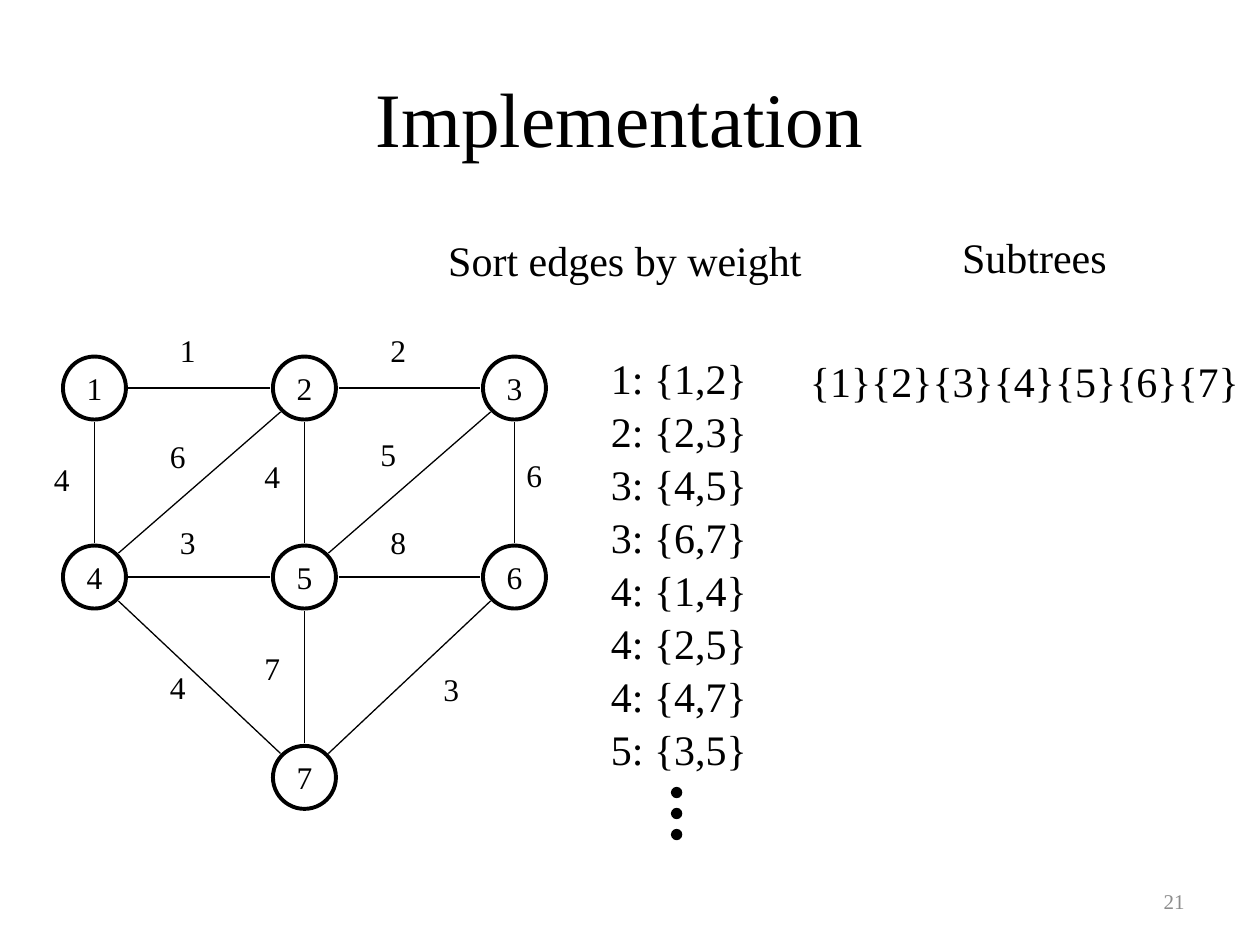
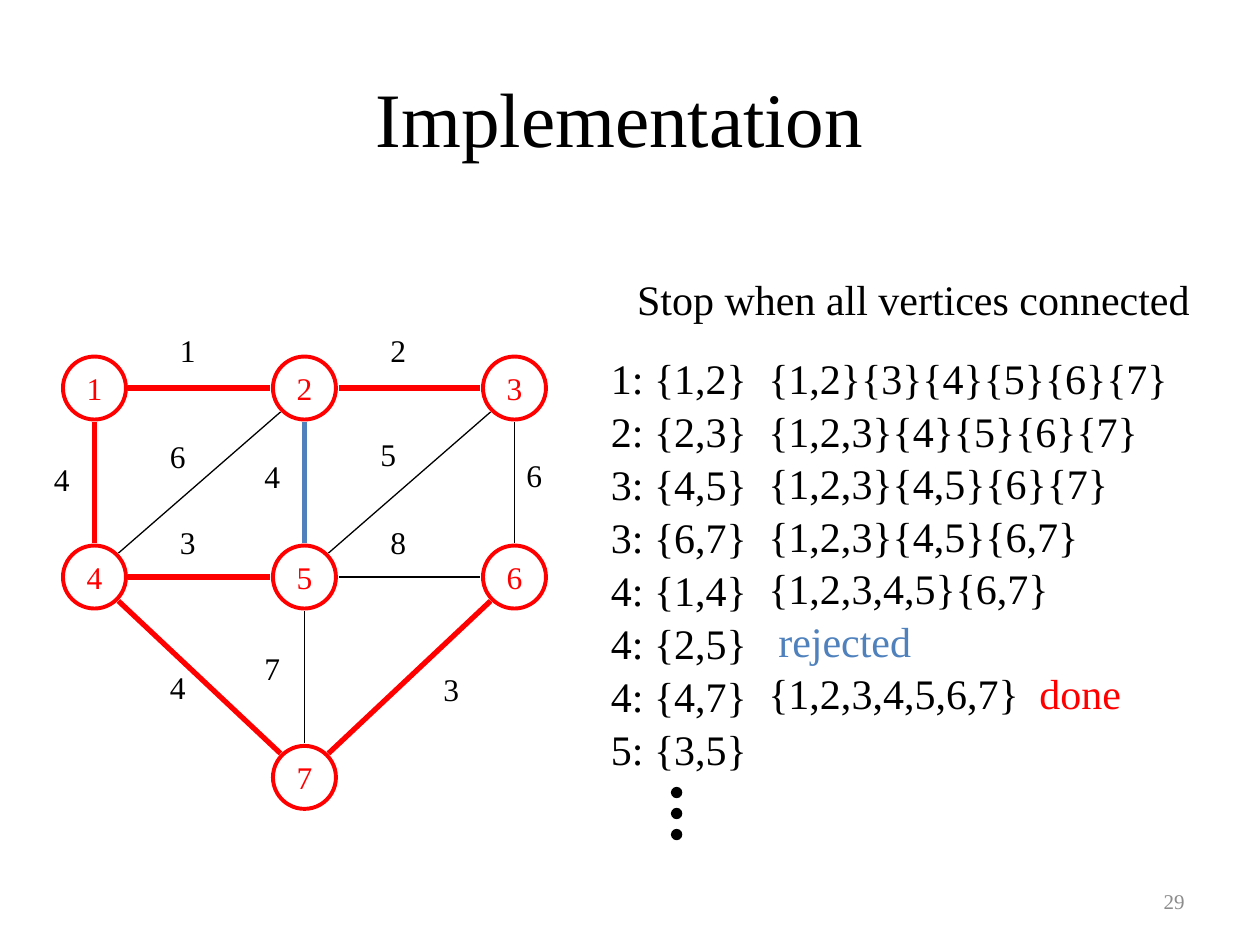
import dataclasses

import lxml.etree
import pptx
import pptx.dml.color
import pptx.enum.shapes
import pptx.enum.text
import pptx.oxml.ns
import pptx.util

Inches = pptx.util.Inches
Pt = pptx.util.Pt
ALIGN = pptx.enum.text.PP_ALIGN
ANCHOR = pptx.enum.text.MSO_ANCHOR
qn = pptx.oxml.ns.qn

FONT = "Times New Roman"
COLORS = {"ink": "000000", "accepted": "FF0000", "rejected": "4F81BD", "number": "8C8C8C"}
COLUMNS = [0.75 + i * 5 / 3 for i in range(3)]
ROWS = [3.08, 4.58, 6.17]
NODES = {
    1: (COLUMNS[0], ROWS[0]), 2: (COLUMNS[1], ROWS[0]), 3: (COLUMNS[2], ROWS[0]),
    4: (COLUMNS[0], ROWS[1]), 5: (COLUMNS[1], ROWS[1]), 6: (COLUMNS[2], ROWS[1]),
    7: (COLUMNS[1], ROWS[2]),
}
NODE_SIZE = 0.5
STRAIGHT_REACH, DIAGONAL_REACH = 0.27, 0.19
LIST_TOP, EDGE_STEP, SUBTREE_STEP = 2.75, 0.42, 5 / 12
SHOWN_EDGES = 8
DOT_SIZE = 0.08


@dataclasses.dataclass(frozen=True)
class Edge:
    start: int
    end: int
    weight: int
    label_left: float
    label_top: float


@dataclasses.dataclass(frozen=True)
class Label:
    text: str
    left: float
    top: float
    width: float
    height: float = 0.5
    size: int = 24
    color: str = "ink"
    align: ALIGN = ALIGN.LEFT
    anchor: ANCHOR = ANCHOR.TOP
    wrap: bool = True


EDGES = [
    Edge(1, 2, 1, 1.33, 2.58), Edge(2, 3, 2, 3, 2.58),
    Edge(4, 5, 3, 1.33, 4.1), Edge(5, 6, 8, 3, 4.1),
    Edge(1, 4, 4, 0.33, 3.6), Edge(2, 4, 6, 1.25, 3.42),
    Edge(2, 5, 4, 2, 3.58), Edge(3, 5, 5, 2.92, 3.4),
    Edge(3, 6, 6, 4.08, 3.57), Edge(4, 7, 4, 1.25, 5.25),
    Edge(5, 7, 7, 2, 5.1), Edge(6, 7, 3, 3.42, 5.27),
]
EDGE_STATUS = dict.fromkeys([(1, 2), (2, 3), (4, 5), (6, 7), (1, 4), (4, 7)], "accepted")
EDGE_STATUS[2, 5] = "rejected"
SUBTREES = [
    "{1,2}{3}{4}{5}{6}{7}", "{1,2,3}{4}{5}{6}{7}", "{1,2,3}{4,5}{6}{7}",
    "{1,2,3}{4,5}{6,7}", "{1,2,3,4,5}{6,7}",
]


def rgb(name: str) -> pptx.dml.color.RGBColor:
    return pptx.dml.color.RGBColor.from_string(COLORS[name])


def style_run(r, size: int, color: str) -> None:
    r.font.name = FONT
    r.font.size = Pt(size)
    r.font.color.rgb = rgb(color)


def write(tf, label: Label):
    """Fill a text frame with one formatted paragraph and return it."""
    tf.text = label.text
    tf.word_wrap = label.wrap
    tf.vertical_anchor = label.anchor
    p = tf.paragraphs[0]
    p.alignment = label.align
    style_run(p.runs[0], label.size, label.color)
    return p


def add_label(s, label: Label):
    box = s.shapes.add_textbox(Inches(label.left), Inches(label.top),
                               Inches(label.width), Inches(label.height))
    return write(box.text_frame, label)


def add_heading(s, text: str, left: float, top: float, width: float) -> None:
    add_label(s, Label(text, left, top, width, 0.58, align=ALIGN.CENTER,
                       anchor=ANCHOR.MIDDLE, wrap=False))


def add_circle(s, x: float, y: float, size: float, color: str, line_width: float):
    """Add a circle centred on x, y."""
    sp = s.shapes.add_shape(pptx.enum.shapes.MSO_SHAPE.OVAL, Inches(x - size / 2),
                            Inches(y - size / 2), Inches(size), Inches(size))
    sp.shadow.inherit = False
    sp.line.color.rgb = rgb(color)
    sp.line.width = Pt(line_width)
    return sp


def add_node(s, number: int, color: str) -> None:
    x, y = NODES[number]
    sp = add_circle(s, x, y, NODE_SIZE, color, 2.25)
    sp.fill.background()
    write(sp.text_frame, Label(str(number), x, y, NODE_SIZE, size=18, color=color,
                               align=ALIGN.CENTER, anchor=ANCHOR.MIDDLE, wrap=False))


def add_edge(s, edge: Edge, status: str) -> None:
    """Draw an edge from rim to rim, with its weight beside it."""
    (x1, y1), (x2, y2) = NODES[edge.start], NODES[edge.end]
    step_x, step_y = (x2 > x1) - (x2 < x1), (y2 > y1) - (y2 < y1)
    reach = DIAGONAL_REACH if step_x and step_y else STRAIGHT_REACH
    dx, dy = step_x * reach, step_y * reach
    line = s.shapes.add_connector(pptx.enum.shapes.MSO_CONNECTOR.STRAIGHT,
                                  Inches(x1 + dx), Inches(y1 + dy),
                                  Inches(x2 - dx), Inches(y2 - dy))
    line.line.color.rgb = rgb(status)
    line.line.width = Pt(0.75 if status == "ink" else 3)
    lxml.etree.SubElement(line._element.spPr, qn("a:effectLst"))
    add_label(s, Label(str(edge.weight), edge.label_left, edge.label_top, 0.5, 0.57, 18))


def add_graph(s, node_color: str, statuses: dict[tuple[int, int], str]) -> None:
    for edge in EDGES:
        add_edge(s, edge, statuses.get((edge.start, edge.end), "ink"))
    for number in NODES:
        add_node(s, number, node_color)


def add_sorted_edges(s) -> None:
    """List the lightest edges, then three dots for the rest."""
    ranked = sorted(EDGES, key=lambda e: (e.weight, e.start, e.end))
    for i, e in enumerate(ranked[:SHOWN_EDGES]):
        add_label(s, Label(f"{e.weight}: {{{e.start},{e.end}}}", 4.75,
                           LIST_TOP + i * EDGE_STEP, 1.67))
    for i in range(3):
        dot = add_circle(s, 5.37, 6.29 + i / 6, DOT_SIZE, "ink", 0.75)
        dot.fill.solid()
        dot.fill.fore_color.rgb = rgb("ink")


def add_subtree_steps(s) -> None:
    def top(i: int) -> float:
        return LIST_TOP + i * SUBTREE_STEP

    for i, text in enumerate(SUBTREES):
        add_label(s, Label(text, 6, top(i), 3.67))
    add_label(s, Label("rejected", 6.08, top(5), 3.67, color="rejected"))
    p = add_label(s, Label("{1,2,3,4,5,6,7}\t", 6, top(6), 3.67))
    tabs = lxml.etree.SubElement(p._p.get_or_add_pPr(), qn("a:tabLst"))
    lxml.etree.SubElement(tabs, qn("a:tab"), pos=str(Inches(2.15)), algn="l")
    r = p.add_run()
    r.text = "done"
    style_run(r, 24, "accepted")


def add_slide(prs, number: int, node_color: str, statuses: dict[tuple[int, int], str]):
    """Add a slide with the title, page number, graph and edge list."""
    s = prs.slides.add_slide(prs.slide_layouts[6])
    add_label(s, Label("Implementation", 0.42, 0.3, 9, 1.25, 44,
                       align=ALIGN.CENTER, anchor=ANCHOR.MIDDLE))
    add_label(s, Label(str(number), 7.17, 6.95, 2.33, 0.4, 12, "number",
                       ALIGN.RIGHT, ANCHOR.MIDDLE))
    add_graph(s, node_color, statuses)
    add_sorted_edges(s)
    return s


def main() -> None:
    prs = pptx.Presentation()
    prs.slide_width, prs.slide_height = Inches(10), Inches(7.5)

    s = add_slide(prs, 21, "ink", {})
    add_heading(s, "Sort edges by weight", 3.25, 1.77, 3.42)
    add_heading(s, "Subtrees", 6.5, 1.75, 3.42)
    add_label(s, Label("{1}{2}{3}{4}{5}{6}{7}", 6.33, 2.77, 3.67))

    s = add_slide(prs, 29, "accepted", EDGE_STATUS)
    add_heading(s, "Stop when all vertices connected", 4.71, 2.08, 5.08)
    add_subtree_steps(s)

    prs.save("out.pptx")


if __name__ == "__main__":
    main()
